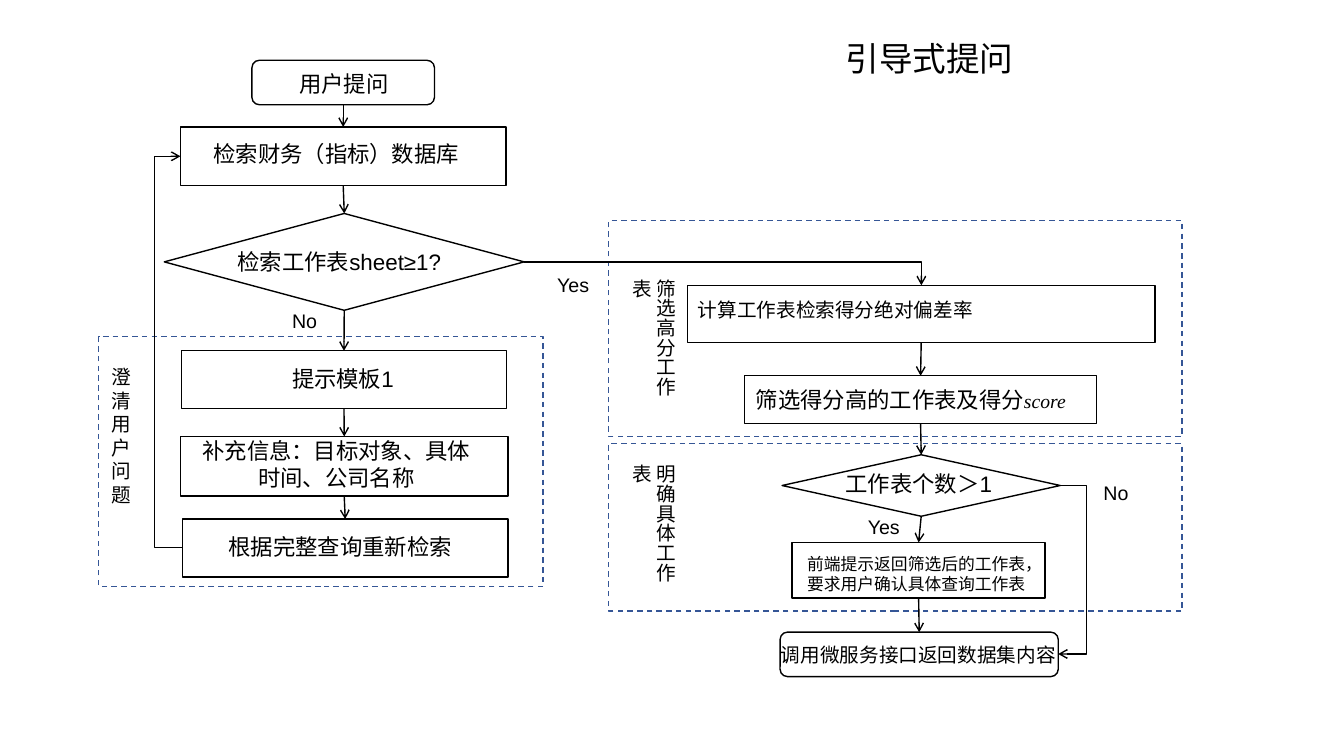
from lxml.etree import SubElement
from pptx import Presentation
from pptx.dml.color import RGBColor
from pptx.enum.dml import MSO_LINE as Dash
from pptx.enum.shapes import MSO_CONNECTOR as Link, MSO_SHAPE as Preset
from pptx.enum.text import PP_ALIGN as Align
from pptx.oxml.ns import qn
from pptx.util import Cm, Pt

BLACK = "000000"
BLUE = "355696"


def color(value):
    return RGBColor.from_string(value)


def style_line(line, value=BLACK):
    line.color.rgb = color(value)
    line.width = Pt(1)


def add_outline(slide, preset, left, top, width, height):
    shape = slide.shapes.add_shape(preset, Cm(left), Cm(top), Cm(width), Cm(height))
    shape.shadow.inherit = False
    shape.fill.background()
    style_line(shape.line)
    return shape


def add_group_frame(slide, left, top, width, height):
    shape = add_outline(slide, Preset.RECTANGLE, left, top, width, height)
    style_line(shape.line, BLUE)
    shape.line.dash_style = Dash.DASH


def add_run(paragraph, text, size, font="Arial", italic=False):
    run = paragraph.add_run()
    run.text = text
    run.font.size = Pt(size)
    run.font.name = font
    run.font.color.rgb = color(BLACK)
    if italic:
        run.font.italic = True


def add_text(slide, text, size, left, top, width, height, align=Align.LEFT):
    box = slide.shapes.add_textbox(Cm(left), Cm(top), Cm(width), Cm(height))
    box.text_frame.word_wrap = True
    paragraph = box.text_frame.paragraphs[0]
    paragraph.alignment = align
    add_run(paragraph, text, size)
    return box


def add_vertical_text(slide, text, left, top):
    box = add_text(slide, text, 14, left, top, 1.09, 3.73)
    box.text_frame._txBody.find(qn("a:bodyPr")).set("vert", "eaVert")


def finish_arrow(connector):
    style_line(connector.line)
    SubElement(connector.line._get_or_add_ln(), qn("a:tailEnd"), type="arrow")
    SubElement(connector._element.spPr, qn("a:effectLst"))


def add_down_arrow(slide, upper, lower):
    connector = slide.shapes.add_connector(Link.STRAIGHT, 0, 0, 0, 0)
    connector.begin_connect(upper, 2)
    connector.end_connect(lower, 0)
    finish_arrow(connector)


def add_elbow(slide, start, end, turn_x=None):
    points = [Cm(value) for value in (*start, *end)]
    connector = slide.shapes.add_connector(Link.ELBOW, *points)
    geometry = connector._element.spPr.find(qn("a:prstGeom"))
    if turn_x is None:
        geometry.set("prst", "bentConnector2")
    else:
        ratio = round((turn_x - start[0]) / (end[0] - start[0]) * 100000)
        SubElement(geometry.find(qn("a:avLst")), qn("a:gd"),
                   name="adj1", fmla=f"val {ratio}")
    finish_arrow(connector)


def add_chain(slide, steps):
    shapes = [add_outline(slide, *step) for step in steps]
    for upper, lower in zip(shapes, shapes[1:]):
        add_down_arrow(slide, upper, lower)


def add_query_flow(slide):
    add_group_frame(slide, 2.49, 8.48, 11.2, 6.3)
    add_chain(slide, [
        (Preset.ROUNDED_RECTANGLE, 6.35, 1.52, 4.6, 1.12),
        (Preset.RECTANGLE, 4.55, 3.2, 8.2, 1.47),
        (Preset.FLOWCHART_DECISION, 4.14, 5.38, 9.07, 2.44),
        (Preset.RECTANGLE, 4.57, 8.84, 8.2, 1.46),
        (Preset.RECTANGLE, 4.55, 11, 8.25, 1.5),
        (Preset.RECTANGLE, 4.6, 13.08, 8.2, 1.46),
    ])
    add_elbow(slide, (4.6, 13.8), (4.55, 3.94), 3.89)
    add_text(slide, "用户提问", 16, 7.29, 1.65, 3.07, 0.94)
    add_text(slide, "检索财务（指标）数据库", 16, 5.13, 3.4, 7.62, 0.94)
    add_text(slide, "检索工作表sheet≥1?", 16, 5.74, 6.12, 6.78, 0.94)
    add_text(slide, "No", 14, 7.11, 7.65, 1.52, 0.86)
    add_text(slide, "提示模板1", 16, 7.11, 9.07, 4.8, 0.94)
    add_text(slide, "补充信息：目标对象、具体时间、公司名称", 16,
             4.62, 10.9, 7.72, 1.27, Align.CENTER)
    add_text(slide, "根据完整查询重新检索", 16, 5.51, 13.31, 7.01, 0.94)
    add_text(slide, "澄清用户问题", 14, 2.57, 9.07, 1.02, 4.98)


def add_sheet_flow(slide):
    add_group_frame(slide, 15.34, 5.56, 14.45, 5.44)
    add_group_frame(slide, 15.34, 11.18, 14.45, 4.22)
    add_chain(slide, [
        (Preset.RECTANGLE, 17.32, 7.19, 11.79, 1.45),
        (Preset.RECTANGLE, 18.77, 9.47, 8.86, 1.2),
        (Preset.FLOWCHART_DECISION, 19.71, 11.46, 7.01, 1.55),
        (Preset.RECTANGLE, 19.96, 13.67, 6.38, 1.4),
        (Preset.FLOWCHART_ALTERNATE_PROCESS, 19.66, 15.93, 7.01, 1.12),
    ])
    add_elbow(slide, (13.21, 6.6), (23.22, 7.19))
    add_elbow(slide, (26.72, 12.24), (26.67, 16.48), 27.38)
    add_text(slide, "Yes", 14, 13.79, 6.76, 1.55, 0.86)
    add_text(slide, "计算工作表检索得分绝对偏差率", 14,
             17.22, 7.39, 7.67, 1.07, Align.CENTER)
    score = add_text(slide, "筛选得分高的工作表及得分", 16, 18.8, 9.6, 8.74, 0.94)
    add_run(score.text_frame.paragraphs[0], "score", 14, "Times New Roman", True)
    add_text(slide, "工作表个数＞1", 16, 21.06, 11.73, 4.75, 0.94)
    add_text(slide, "No", 14, 27.56, 11.99, 1.52, 0.86)
    add_text(slide, "Yes", 14, 21.62, 12.85, 1.37, 0.79)
    add_text(slide, "前端提示返回筛选后的工作表，要求用户确认具体查询工作表", 12,
             20.09, 13.82, 6.15, 1.14)
    add_text(slide, "调用微服务接口返回数据集内容", 14, 19.43, 16.08, 7.54, 0.86)
    add_vertical_text(slide, "筛选高分工作表", 16.1, 6.78)
    add_vertical_text(slide, "明确具体工作表", 16.1, 11.46)


def main():
    presentation = Presentation()
    presentation.slide_width = Cm(33.87)
    presentation.slide_height = Cm(19.05)
    slide = presentation.slides.add_slide(presentation.slide_layouts[6])
    add_text(slide, "引导式提问", 24, 21.06, 0.84, 4.9, 1.27)
    add_query_flow(slide)
    add_sheet_flow(slide)
    presentation.save("out.pptx")


if __name__ == "__main__":
    main()
